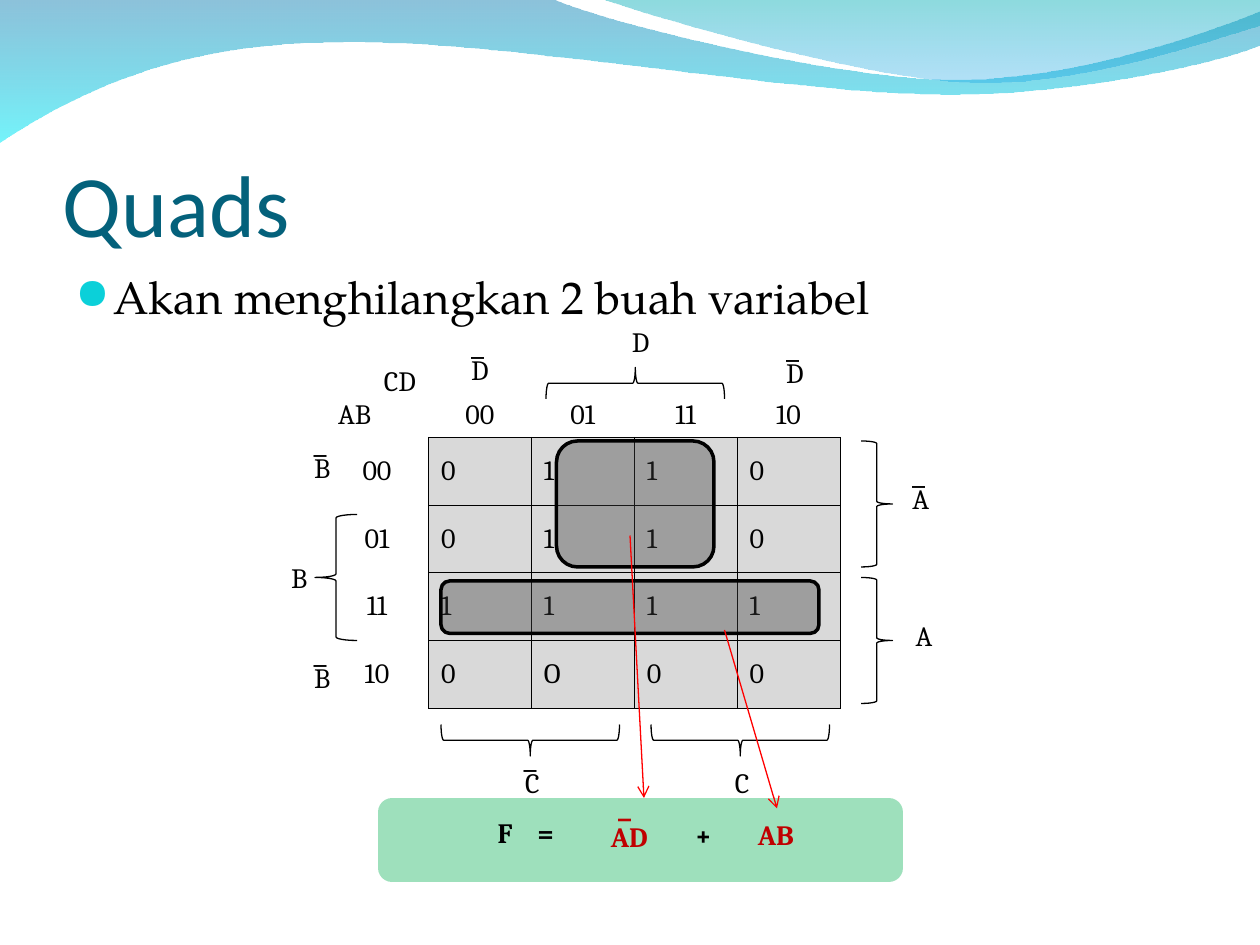
"""Build a slide on quads in a four-variable Karnaugh map."""
from dataclasses import dataclass

from lxml import etree
from pptx import Presentation
from pptx.dml.color import RGBColor
from pptx.enum.shapes import MSO_CONNECTOR, MSO_SHAPE
from pptx.enum.text import MSO_ANCHOR, PP_ALIGN
from pptx.oxml.ns import qn
from pptx.util import Inches, Pt

LEFT, CENTER, RIGHT = PP_ALIGN.LEFT, PP_ALIGN.CENTER, PP_ALIGN.RIGHT
TOP, MIDDLE, BOTTOM = MSO_ANCHOR.TOP, MSO_ANCHOR.MIDDLE, MSO_ANCHOR.BOTTOM
ROUND = MSO_SHAPE.ROUNDED_RECTANGLE
OPEN, SHUT = MSO_SHAPE.LEFT_BRACE, MSO_SHAPE.RIGHT_BRACE
STRAIGHT = MSO_CONNECTOR.STRAIGHT
COLS, ROWS = 120, 90
UNIT = Inches(10) / COLS
BLACK, DARK, GREY, RED = "000000", "404040", "D9D9D9", "C00000"
PLAIN = "{2D5ABB26-0587-4C30-8999-92F81FD0307C}"
CODES = ["00", "01", "11", "10"]
BITS = ["0110", "0110", "1111", "0O00"]


@dataclass
class Box:
    """A rectangle in grid columns and rows."""
    x: float
    y: float
    w: float
    h: float

    def emu(self) -> list[int]:
        """Give the four lengths in slide units."""
        return [span(v) for v in (self.x, self.y, self.w, self.h)]


@dataclass
class Label:
    """A short text with its box and format."""
    text: str
    box: Box
    size: float = 16
    color: str = BLACK
    bold: bool = False
    align: int = CENTER
    anchor: int = MIDDLE
    face: str = "Cambria"
    wrap: bool = False


@dataclass
class Brace:
    """A brace that spans two rows or columns of the map."""
    kind: int
    box: Box
    turn: int = 0


@dataclass
class Wave:
    """A filled outline of straight and curved legs."""
    legs: list
    stops: list
    clear: list


WAVES = [
    Wave([[(0, 0)], [(52.8, 0)],
          [(57.1, 2), (79.7, 7.6), (91, 7.6)],
          [(102.4, 7.6), (115, 3.1), (120, 1.1)], [(120, 4.3)],
          [(118, 5.3), (104.4, 9.1), (89.5, 9)],
          [(74.6, 9), (45.8, 3.4), (30.8, 4.1)],
          [(15.5, 4.2), (5.5, 10), (0, 13.6)]],
         ["0079AF", "00EBF8"], [45, 55]),
    Wave([[(57.5, 0)],
          [(61.1, 1.3), (81.8, 7.4), (92.3, 7.8)],
          [(102.7, 8.3), (115.3, 3.8), (120, 2.5)], [(120, 0)]],
         ["00ADB6", "009BE5"], [45, 30]),
]
TITLE = Label("Quads", Box(6, 9.25, 108, 15), 50, "04617B", align=LEFT,
              anchor=BOTTOM, face="Calibri", wrap=True)
POINT = Label("Akan menghilangkan 2 buah variabel", Box(6, 25, 108, 57.6), 26,
              align=LEFT, anchor=TOP, face="TeX Gyre Pagella", wrap=True)
BRACES = [
    Brace(SHUT, Box(82, 42, 3, 12)), Brace(SHUT, Box(82, 55, 3, 12)),
    Brace(OPEN, Box(30, 49, 4, 12)), Brace(OPEN, Box(59, 28, 3, 17), 90),
    Brace(SHUT, Box(49, 62, 3, 17), 90), Brace(SHUT, Box(69, 62, 3, 17), 90),
]
NAMES = [
    Label("A", Box(84, 58, 8, 5)), Label("B", Box(25, 52.5, 7, 5)),
    Label("C", Box(66.67, 72, 8, 5)), Label("D", Box(57, 30, 8, 5)),
]
BARRED = [("D", 72, 30.33), ("D", 42, 30), ("A", 84, 42.33),
          ("C", 47, 69.33), ("B", 27, 39.33), ("B", 27, 59.33)]
LOOPS = [Box(53, 42, 15, 12), Box(42, 55.33, 36, 5)]
ARROWS = [(60, 51, 61.33, 76), (69, 60, 74, 77)]
TERM = [Label("_", Box(57.7, 74, 8.75, 5), 20, RED, True, LEFT),
        Label("AD", Box(57, 77.17, 7, 5), 16, RED, True, LEFT)]
SUM = [Label("AB", Box(71, 77, 7, 5), 16, RED, True, LEFT),
       Label("F\t=", Box(46.2, 76.8, 8, 5), bold=True, align=LEFT),
       Label("+", Box(63, 77, 8, 5), bold=True)]


def span(count: float) -> int:
    """Turn grid steps into slide units."""
    return round(count * UNIT)


def put(item, **vals) -> None:
    """Set each given attribute on the item."""
    for key, val in vals.items():
        setattr(item, key, val)


def paint(fill, code: str) -> None:
    """Fill with one solid colour."""
    fill.solid()
    fill.fore_color.rgb = RGBColor.from_string(code)


def fade(shape, shares: list[int]) -> None:
    """Set the opacity of each colour in a shape, in percent."""
    for node, share in zip(shape.element.spPr.iter(qn("a:srgbClr")), shares):
        etree.SubElement(node, qn("a:alpha"), val=str(share * 1000))


def style(para, size: float, code: str, face: str, bold: bool, align: int) -> None:
    """Set the font and alignment of a paragraph."""
    para.alignment = align
    for run in para.runs:
        put(run.font, size=Pt(size), name=face, bold=bold)
        paint(run.font.fill, code)


def write(shapes, label: Label):
    """Add a label and give back its text frame."""
    frame = shapes.add_textbox(*label.box.emu()).text_frame
    put(frame, word_wrap=label.wrap, vertical_anchor=label.anchor)
    para = frame.paragraphs[0]
    para.add_run().text = label.text
    style(para, label.size, label.color, label.face, label.bold, label.align)
    return frame


def list_mark(para) -> None:
    """Give a paragraph a hanging round bullet."""
    props = para._p.get_or_add_pPr()
    put_in = etree.SubElement
    for key, val in {"marL": Inches(0.3), "indent": -Inches(0.3)}.items():
        props.set(key, str(val))
    put_in(put_in(props, qn("a:buClr")), qn("a:srgbClr"), val="0BD0D9")
    put_in(props, qn("a:buSzPct"), val="95000")
    put_in(props, qn("a:buChar"), char="●")


def tab_stop(para, place: int) -> None:
    """Add one left tab stop to a paragraph."""
    tabs = etree.SubElement(para._p.get_or_add_pPr(), qn("a:tabLst"))
    etree.SubElement(tabs, qn("a:tab"), pos=str(place), algn="l")


def trace(legs: list, steps: int = 24) -> list[tuple]:
    """Turn straight and Bezier legs into points."""
    dots = []
    for leg in legs:
        if len(leg) == 1:
            dots += leg
            continue
        ends = list(zip(dots[-1], *leg))
        for i in range(1, steps + 1):
            t = i / steps
            u = 1 - t
            dots.append(tuple(a * u**3 + 3 * b * u * u * t + 3 * c * u * t * t
                              + d * t**3 for a, b, c, d in ends))
    return dots


def draw_wave(shapes, wave: Wave) -> None:
    """Draw one wave with a clear gradient from top to bottom."""
    dots = [(span(x), span(y)) for x, y in trace(wave.legs)]
    pen = shapes.build_freeform(*dots[0])
    pen.add_line_segments(dots[1:], close=True)
    shape = pen.convert_to_shape()
    shape.shadow.inherit = False
    shape.fill.gradient()
    shape.fill.gradient_angle = 270
    for stop, code in zip(shape.fill.gradient_stops, wave.stops):
        stop.color.rgb = RGBColor.from_string(code)
    fade(shape, wave.clear)
    shape.line.fill.background()


def draw_shape(shapes, kind: int, box: Box, fill: str = "", line: float = 0, turn: int = 0) -> None:
    """Draw a preset shape with a clear fill, a black line or both."""
    shape = shapes.add_shape(kind, *box.emu())
    shape.shadow.inherit = False
    shape.rotation = turn
    if fill:
        paint(shape.fill, fill)
        fade(shape, [38])
    else:
        shape.fill.background()
    if line:
        paint(shape.line.fill, BLACK)
        shape.line.width = Pt(line)
    else:
        shape.line.fill.background()


def draw_arrow(shapes, ends: tuple) -> None:
    """Draw a red arrow with an open head."""
    arrow = shapes.add_connector(STRAIGHT, *map(span, ends))
    paint(arrow.line.fill, "FF0000")
    arrow.line.width = Pt(0.75)
    etree.SubElement(arrow.line._get_or_add_ln(), qn("a:tailEnd"), type="arrow")
    etree.SubElement(arrow.element.spPr, qn("a:effectLst"))


def edge(cell, sides: str) -> None:
    """Draw thin black borders on the named sides of a cell."""
    props = cell._tc.get_or_add_tcPr()
    for side in sides:
        line = etree.SubElement(props, qn(f"a:ln{side}"), w=str(Pt(0.45)))
        fill = etree.SubElement(line, qn("a:solidFill"))
        etree.SubElement(fill, qn("a:srgbClr"), val=BLACK)


def draw_map(shapes) -> None:
    """Draw the map with its codes on the top and left."""
    frame = shapes.add_table(5, 5, *Box(31, 34, 49, 33.45).emu())
    frame.element.find(f".//{qn('a:tableStyleId')}").text = PLAIN
    table = frame.table
    put(table, first_row=False, horz_banding=False)
    for col in table.columns:
        col.width = span(9.8)
    for row, high in zip(table.rows, [7.65] + [6.45] * 4):
        row.height = span(high)
    rows = [["CD\nAB", *CODES]] + [[c, *b] for c, b in zip(CODES, BITS)]
    for r, texts in enumerate(rows):
        for c, text in enumerate(texts):
            cell = table.cell(r, c)
            inner = r > 0 and c > 0
            edge(cell, "LRTB" if inner else "R" * (r > 0) + "B" * (c > 0))
            if inner:
                paint(cell.fill, GREY)
            put(cell, text=text, vertical_anchor=MIDDLE if r else BOTTOM)
            for para in cell.text_frame.paragraphs:
                style(para, 16, BLACK, "Cambria", False, LEFT if inner else CENTER)
    for para, align in zip(table.cell(0, 0).text_frame.paragraphs, (RIGHT, LEFT)):
        para.alignment = align


def main() -> None:
    """Build and save the slide."""
    deck = Presentation()
    put(deck, slide_width=span(COLS), slide_height=span(ROWS))
    shapes = deck.slides.add_slide(deck.slide_layouts[6]).shapes
    for wave in WAVES:
        draw_wave(shapes, wave)
    draw_shape(shapes, ROUND, Box(36, 76, 50, 8), "00B050")
    put(write(shapes, TITLE), margin_left=0, margin_right=0, margin_bottom=0)
    list_mark(write(shapes, POINT).paragraphs[0])
    draw_map(shapes)
    for brace in BRACES:
        draw_shape(shapes, brace.kind, brace.box, line=0.75, turn=brace.turn)
    for label in NAMES:
        write(shapes, label)
    pairs = [[Label("_", Box(x, y, 7, 5), 20), Label(name, Box(x + 0.7, y + 2.67, 6, 5))]
             for name, x, y in BARRED]
    for pair in pairs:
        group = shapes.add_group_shape().shapes
        for label in pair:
            write(group, label)
    for loop in LOOPS:
        draw_shape(shapes, ROUND, loop, DARK, 2)
    for ends in ARROWS:
        draw_arrow(shapes, ends)
    group = shapes.add_group_shape().shapes
    for label in TERM:
        write(group, label)
    for label in SUM:
        frame = write(shapes, label)
        if "\t" in label.text:
            tab_stop(frame.paragraphs[0], span(3.8))
    deck.save("out.pptx")


if __name__ == "__main__":
    main()
